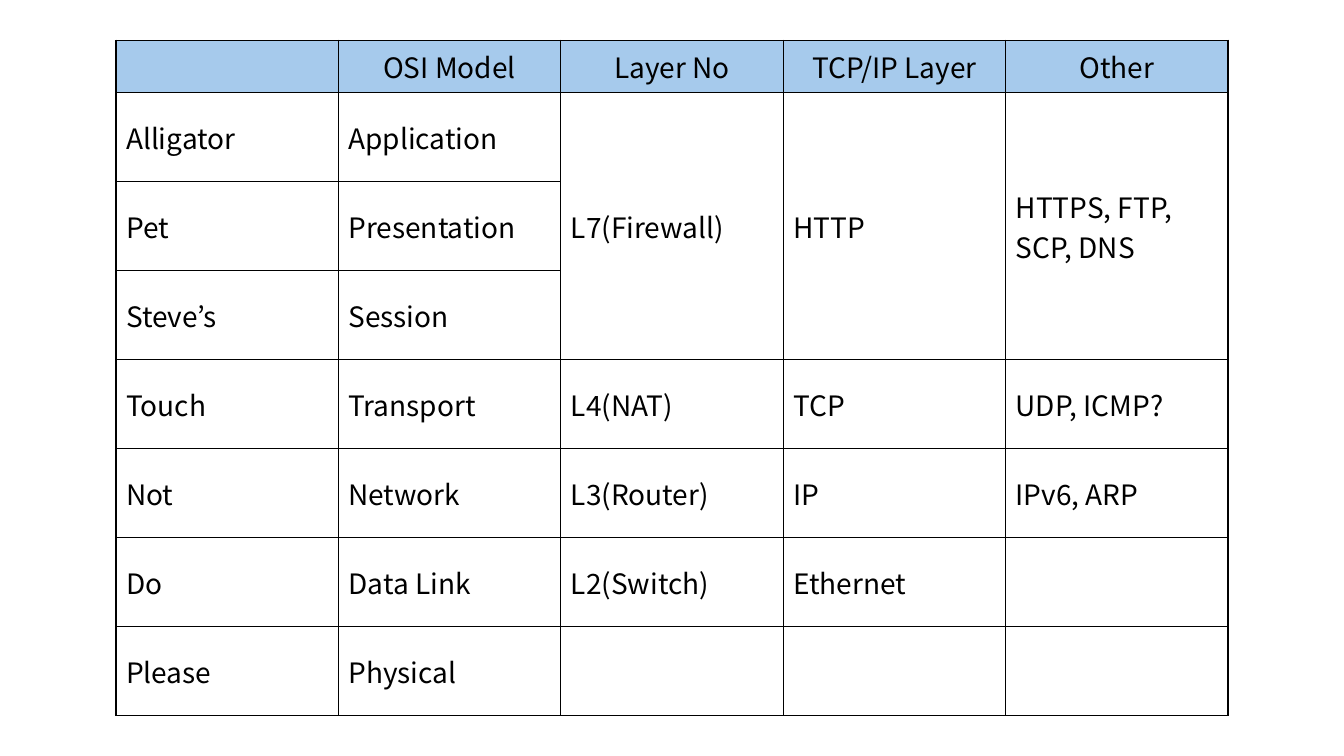
from lxml.etree import SubElement
from pptx import Presentation
from pptx.dml.color import RGBColor
from pptx.enum.text import MSO_ANCHOR, PP_ALIGN
from pptx.oxml.ns import qn
from pptx.util import Inches, Pt

COLORS = {"header": "A6CAEC", "ink": "000000"}
FONT = "Noto Sans CJK KR"
ROWS = [
    ["", "OSI Model", "Layer No", "TCP/IP Layer", "Other"],
    ["Alligator", "Application", "L7(Firewall)", "HTTP", "HTTPS, FTP, SCP, DNS"],
    ["Pet", "Presentation", "", "", ""],
    ["Steve’s", "Session", "", "", ""],
    ["Touch", "Transport", "L4(NAT)", "TCP", "UDP, ICMP?"],
    ["Not", "Network", "L3(Router)", "IP", "IPv6, ARP"],
    ["Do", "Data Link", "L2(Switch)", "Ethernet", ""],
    ["Please", "Physical", "", "", ""],
]
WIDTH, HEIGHT, HEADER_HEIGHT = Inches(11.03), Inches(6.7), Inches(0.52)


def add_borders(cell):
    properties = cell._tc.get_or_add_tcPr()
    for side in ("lnL", "lnR", "lnT", "lnB"):
        line = SubElement(properties, qn(f"a:{side}"), w=str(Pt(1)))
        fill = SubElement(line, qn("a:solidFill"))
        SubElement(fill, qn("a:srgbClr"), val=COLORS["ink"])


deck = Presentation()
deck.slide_width, deck.slide_height = Inches(13.33), Inches(7.5)
page = deck.slides.add_slide(deck.slide_layouts[6])

table = page.shapes.add_table(len(ROWS), len(ROWS[0]),
                              Inches(1.15), Inches(0.4), WIDTH, HEIGHT).table
table.horz_banding = False
for column in table.columns:
    column.width = WIDTH // len(ROWS[0])
for index, row in enumerate(table.rows):
    row.height = HEADER_HEIGHT if index == 0 else (HEIGHT - HEADER_HEIGHT) // (len(ROWS) - 1)

for row_index, texts in enumerate(ROWS):
    is_header = row_index == 0
    for column_index, text in enumerate(texts):
        cell = table.cell(row_index, column_index)
        add_borders(cell)
        cell.vertical_anchor = MSO_ANCHOR.MIDDLE
        if is_header:
            cell.fill.solid()
            cell.fill.fore_color.rgb = RGBColor.from_string(COLORS["header"])
        else:
            cell.fill.background()
        if not text:
            continue
        para = cell.text_frame.paragraphs[0]
        para.alignment = PP_ALIGN.CENTER if is_header else PP_ALIGN.LEFT
        span = para.add_run()
        span.text = text
        span.font.name = FONT
        span.font.size = Pt(20)
        span.font.bold = False
        span.font.color.rgb = RGBColor.from_string(COLORS["ink"])

# The top three OSI layers share one entry in each remaining column
for column_index in range(2, 5):
    table.cell(1, column_index).merge(table.cell(3, column_index))

deck.save("out.pptx")
